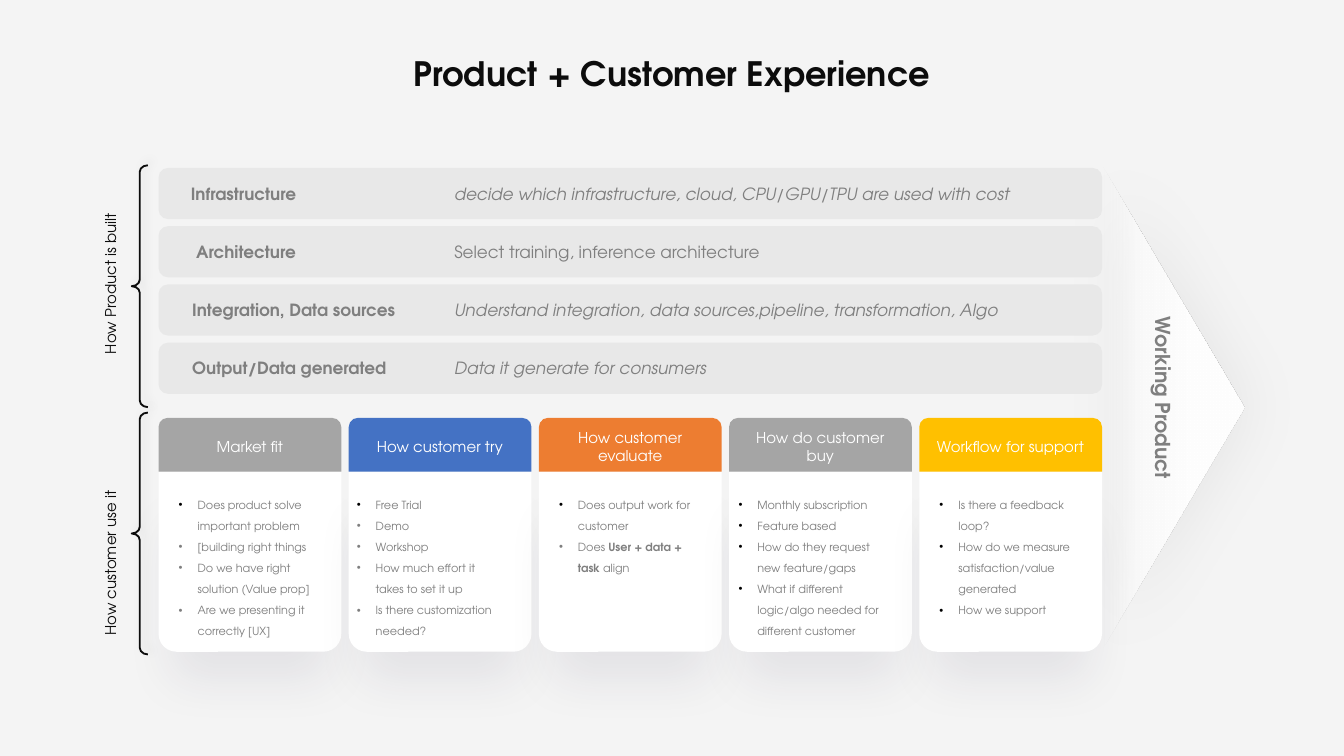
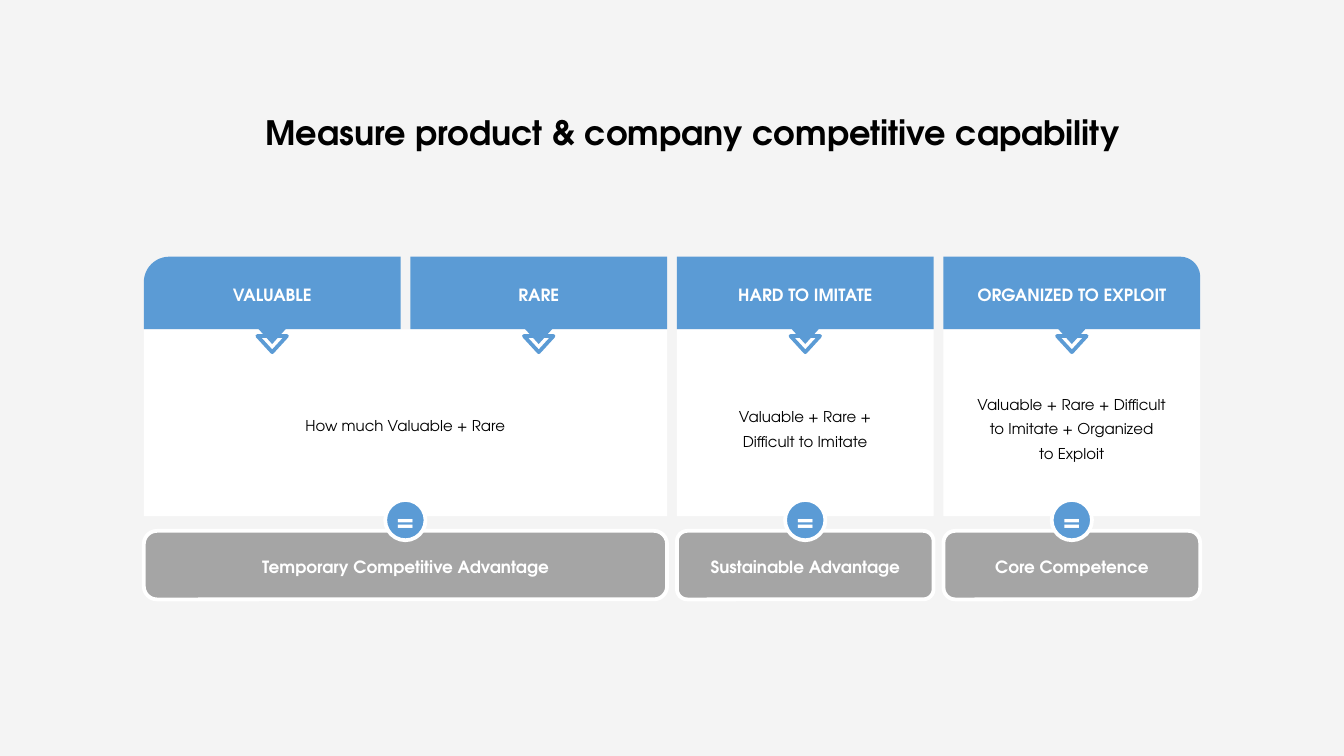
from collections import namedtuple
from copy import deepcopy
from dataclasses import dataclass
from math import cos, pi, sin

from lxml.etree import SubElement
from pptx import Presentation
from pptx.dml.color import RGBColor
from pptx.enum.shapes import MSO_SHAPE
from pptx.enum.text import MSO_ANCHOR, MSO_AUTO_SIZE, PP_ALIGN
from pptx.oxml.ns import qn
from pptx.util import Inches, Pt

LEFT, CENTER = PP_ALIGN.LEFT, PP_ALIGN.CENTER
TOP, MIDDLE = MSO_ANCHOR.TOP, MSO_ANCHOR.MIDDLE
RECT, ROUNDED = MSO_SHAPE.RECTANGLE, MSO_SHAPE.ROUNDED_RECTANGLE
ROUND_PAIR = MSO_SHAPE.ROUND_2_SAME_RECTANGLE
BRACE, OVAL = MSO_SHAPE.LEFT_BRACE, MSO_SHAPE.OVAL
TRIANGLE, EXTRACT = MSO_SHAPE.ISOSCELES_TRIANGLE, MSO_SHAPE.FLOWCHART_EXTRACT

Box = namedtuple("Box", "x y w h")
Shadow = namedtuple("Shadow", "color alpha blur dist angle scale")
PADDED, TIGHT = (0.07, 0.04), (0, 0)


@dataclass(frozen=True)
class Theme:
    font: str = "TeX Gyre Adventor"
    bg: str = "F4F4F4"
    ink: str = "0C0C0C"
    black: str = "000000"
    white: str = "FFFFFF"
    muted: str = "7F7F7F"
    row: str = "E8E8E8"
    gray: str = "A5A5A5"
    blue: str = "4472C4"
    orange: str = "ED7D31"
    gold: str = "FFC000"
    sky: str = "5B9BD5"
    title: int = 18
    sign: int = 14
    arrow: int = 11
    label: int = 9
    body: int = 8
    small: int = 6
    card_shadow: Shadow = Shadow("221B43", 7, 26, 22, 90, 86)
    arrow_shadow: Shadow = Shadow("000000", 5, 35, 3, 0, 100)
    brace_shadow: Shadow = Shadow("000000", 9, 5, 3, 315, 100)


T = Theme()

ROWS = [
    ("Infrastructure", 0.24, "decide which infrastructure, cloud, CPU/GPU/TPU are used with cost", True),
    ("Architecture", 0.28, "Select training, inference architecture", False),
    ("Integration, Data sources", 0.25,
     "Understand integration, data sources,pipeline, transformation, Algo", True),
    ("Output/Data generated", 0.25, "Data it generate for consumers", True),
]

CARDS = [
    ("Market fit", T.gray, 0.15, T.muted,
     ["Does product solve important problem", "[building right things",
      "Do we have right solution (Value prop]", "Are we presenting it correctly [UX]"]),
    ("How customer try", T.blue, 0.06, T.muted,
     ["Free Trial", "Demo", "Workshop", "How much effort it takes to set it up",
      "Is there customization needed?"]),
    ("How customer evaluate", T.orange, 0.15, T.muted,
     ["Does output work for customer",
      [("Does ", False), ("User + data + task ", True), ("align", False)]]),
    ("How do customer buy", T.gray, 0.07, T.black,
     ["Monthly subscription", "Feature based", "How do they request new feature/gaps",
      "What if different logic/algo needed for different customer"]),
    ("Workflow for support", T.gold, 0.15, T.black,
     ["Is there a feedback loop?", "How do we measure satisfaction/value generated",
      "How we support"]),
]

CRITERIA = ["VALUABLE", "RARE", "HARD TO IMITATE", "ORGANIZED TO EXPLOIT"]

OUTCOMES = [
    (0, 2, 2.23, ["How much Valuable + Rare"], None, "Temporary Competitive Advantage", 0.19),
    (2, 1, 1.36, ["Valuable + Rare + Difficult to Imitate"], 1.38, "Sustainable Advantage", 0.15),
    (3, 1, 1.73, ["Valuable + Rare + Difficult", "to Imitate + Organized", "to Exploit"], 1.38,
     "Core Competence", 0.17),
]


def rgb(color):
    return RGBColor.from_string(color)


def emu(box):
    return [Inches(v) for v in box]


def place(sp, box):
    sp.left, sp.top, sp.width, sp.height = emu(box)


def bullet(p, color):
    pPr = p._p.get_or_add_pPr()
    pPr.set("marL", str(Inches(0.14)))
    pPr.set("indent", str(-Inches(0.14)))
    clr = SubElement(pPr, qn("a:buClr"))
    SubElement(clr, qn("a:srgbClr"), val=color)
    SubElement(pPr, qn("a:buChar"), char="•")


def write(sp, paragraphs, size=T.label, color=T.muted, bold=False, italic=False, align=LEFT,
          anchor=MIDDLE, inset=TIGHT, spacing=None, bullets=None):
    tf = sp.text_frame
    tf.word_wrap = True
    tf.auto_size = MSO_AUTO_SIZE.NONE
    tf.vertical_anchor = anchor
    tf.margin_left = tf.margin_right = Inches(inset[0])
    tf.margin_top = tf.margin_bottom = Inches(inset[1])
    if isinstance(paragraphs, str):
        paragraphs = [paragraphs]
    for i, runs in enumerate(paragraphs):
        p = tf.add_paragraph() if i else tf.paragraphs[0]
        if bullets:
            bullet(p, bullets[min(i, 1)])
        p.alignment = align
        p.space_before = Pt(0)
        if spacing:
            p.line_spacing = spacing
        for content, strong in [(runs, bold)] if isinstance(runs, str) else runs:
            r = p.add_run()
            r.text = content
            f = r.font
            f.name, f.size, f.bold, f.italic = T.font, Pt(size), strong, italic
            f.color.rgb = rgb(color)


def text(s, box, paragraphs, rotation=0, **fmt):
    sp = s.shapes.add_textbox(*emu(box))
    sp.rotation = rotation
    write(sp, paragraphs, **fmt)


def paint(sp, fill=None, line=None, width=2, shadow=None):
    sp.shadow.inherit = False
    if fill:
        sp.fill.solid()
        sp.fill.fore_color.rgb = rgb(fill)
    else:
        sp.fill.background()
    if line:
        sp.line.color.rgb = rgb(line)
        sp.line.width = Pt(width)
    else:
        sp.line.fill.background()
    if shadow:
        effects = sp._element.spPr.find(qn("a:effectLst"))
        scale = str(shadow.scale * 1000)
        outer = SubElement(effects, qn("a:outerShdw"), blurRad=str(Pt(shadow.blur)),
                           dist=str(Pt(shadow.dist)), dir=str(shadow.angle * 60000),
                           sx=scale, sy=scale, algn="ctr", rotWithShape="0")
        clr = SubElement(outer, qn("a:srgbClr"), val=shadow.color)
        SubElement(clr, qn("a:alpha"), val=str(shadow.alpha * 1000))


def shape(s, kind, box, adj=(), rotation=0, **look):
    sp = s.shapes.add_shape(kind, *emu(box))
    for i, value in enumerate(adj):
        sp.adjustments[i] = value
    sp.rotation = rotation
    paint(sp, **look)
    return sp


def title(s, box, content, color, **fmt):
    sp = s.shapes.title
    place(sp, box)
    write(sp, content, size=T.title, color=color, bold=True, align=CENTER, **fmt)


def fade(sp, stops):
    sp.fill.gradient()
    sp.fill.gradient_angle = 270
    gs_list = next(sp._element.spPr.iter(qn("a:gsLst")))
    for gs in list(gs_list):
        gs_list.remove(gs)
    for pos, color, alpha in stops:
        gs = SubElement(gs_list, qn("a:gs"), pos=str(pos * 1000))
        clr = SubElement(gs, qn("a:srgbClr"), val=color)
        SubElement(clr, qn("a:alpha"), val=str(alpha * 1000))


def working_arrow(s, box):
    sp = shape(s, EXTRACT, box, rotation=90, shadow=T.arrow_shadow)
    fade(sp, [(0, T.white, 100), (37, T.white, 100), (75, "FAFAFA", 100), (100, T.bg, 0)])
    text(s, Box(box.x + 0.8, box.y + 0.64, 1.85, 0.28), "Working Product", rotation=90,
         size=T.arrow, bold=True)


def build_rows(s, box):
    h = 0.38
    pitch = (box.h - h) / (len(ROWS) - 1)
    for i, (label, indent, detail, italic) in enumerate(ROWS):
        y = box.y + i * pitch
        shape(s, ROUNDED, Box(box.x, y, box.w, h), [0.18], fill=T.row)
        text(s, Box(box.x + indent, y + 0.12, 1.8, 0.14), label, bold=True)
        text(s, Box(box.x + 2.2, y + 0.13, 4.75, 0.12), detail, italic=italic)


def use_cards(s, box, bodies):
    w, head = 1.36, 0.4
    pitch = (box.w - w) / (len(CARDS) - 1)
    for i, (name, color, indent, mark, items) in enumerate(CARDS):
        x = box.x + i * pitch
        shape(s, ROUND_PAIR, Box(x, box.y + head, w, box.h - head), [0, 0.1],
              fill=T.white, shadow=T.card_shadow)
        sp = shape(s, ROUND_PAIR, Box(x, box.y, w, head), [0.17, 0], fill=color)
        write(sp, name, size=T.body, color=T.white, align=CENTER, inset=PADDED)
        body = bodies[i]
        s.shapes._spTree.append(body._element)
        place(body, Box(x + indent, box.y + 0.54, 1.07, 1.05))
        write(body, items, size=T.small, anchor=TOP, spacing=1.57, bullets=(T.black, mark))


def side_brace(s, box, label, label_y, length, align):
    shape(s, BRACE, box, [0.41, 0.5], line=T.ink, width=1, shadow=T.brace_shadow)
    sp = shape(s, RECT, Box(box.x - 0.16 - length / 2, label_y, length, 0.2),
               rotation=270, fill=T.bg)
    write(sp, label, size=T.body, color=T.ink, align=align, inset=PADDED)


def add_list_placeholders(layout, count):
    first = layout.placeholders[1]._element
    for i in range(1, count):
        extra = deepcopy(first)
        extra.nvSpPr.cNvPr.set("id", str(100 + i))
        next(extra.iter(qn("p:ph"))).set("idx", str(20 + i))
        layout.shapes._spTree.append(extra)


def experience_slide(prs):
    layout = prs.slide_layouts[1]
    add_list_placeholders(layout, len(CARDS))
    s = prs.slides.add_slide(layout)
    bodies = [ph for ph in s.placeholders if ph.placeholder_format.idx]
    title(s, Box(2.26, 0.33, 5.48, 0.43), "Product + Customer Experience", T.ink, inset=PADDED)
    working_arrow(s, Box(6.93, 2.5, 3.6, 1.06))
    build_rows(s, Box(1.18, 1.25, 7.02, 1.68))
    use_cards(s, Box(1.18, 3.11, 7.02, 1.74), bodies)
    side_brace(s, Box(0.98, 1.23, 0.12, 1.8), "How Product is built", 2.01, 1.58, CENTER)
    side_brace(s, Box(0.98, 3.07, 0.12, 1.8), "How customer use it", 3.88, 1.64, LEFT)


def corner(cx, cy, radius, start, steps=12):
    angles = [start + pi / 2 * k / steps for k in range(steps + 1)]
    return [(cx + radius * cos(a), cy + radius * sin(a)) for a in angles]


def criterion_tab(s, box, name, left_round=0, right_round=0):
    x, y, w, h = box
    mid, right, base = x + w / 2, x + w, y + h
    top_left = corner(x + left_round, y + left_round, left_round, pi) if left_round else [(x, y)]
    top_right = (corner(right - right_round, y + right_round, right_round, -pi / 2)
                 if right_round else [(right, y)])
    points = top_left + top_right + [(right, base), (mid + 0.1, base), (mid, base + 0.11),
                                     (mid - 0.1, base), (x, base)]
    points = [(Inches(px), Inches(py)) for px, py in points]
    fb = s.shapes.build_freeform(*points[0])
    fb.add_line_segments(points[1:], close=True)
    paint(fb.convert_to_shape(), fill=T.sky)
    text(s, Box(x + 0.17, y + 0.21, w - 0.34, 0.15), name, color=T.white, bold=True, align=CENTER)


def outcome(s, box, copy_width, lines, spacing, result, rounding):
    mid = box.x + box.w / 2
    shape(s, RECT, Box(box.x, box.y, box.w, 1.39), fill=T.white)
    text(s, Box(mid - copy_width / 2, box.y + 0.46, copy_width, 0.51), lines, size=T.body,
         color=T.black, align=CENTER, spacing=spacing)
    sp = shape(s, ROUNDED, Box(box.x, box.y + 1.5, box.w, 0.51), [rounding],
               fill=T.gray, line=T.white)
    write(sp, result, color=T.white, bold=True, align=CENTER, spacing=1.17)
    sp = shape(s, OVAL, Box(mid - 0.15, box.y + 1.27, 0.3, 0.3), fill=T.sky, line=T.white)
    write(sp, "=", size=T.sign, color=T.white, bold=True, align=CENTER)


def capability_grid(s, box):
    w, head = 1.91, 0.54
    pitch = (box.w - w) / (len(CRITERIA) - 1)
    for col, span, *details in OUTCOMES:
        area = Box(box.x + col * pitch, box.y + head, w + (span - 1) * pitch, box.h - head)
        outcome(s, area, *details)
    rounds = {0: {"left_round": 0.19}, len(CRITERIA) - 1: {"right_round": 0.15}}
    for i, name in enumerate(CRITERIA):
        x = box.x + i * pitch
        shape(s, TRIANGLE, Box(x + w / 2 - 0.11, box.y + 0.59, 0.22, 0.12), rotation=180, line=T.sky)
        criterion_tab(s, Box(x, box.y, w, head), name, **rounds.get(i, {}))


def capability_slide(prs):
    s = prs.slides.add_slide(prs.slide_layouts[5])
    title(s, Box(1.92, 0.83, 6.47, 0.49), "Measure product & company competitive capability",
          T.black, anchor=TOP)
    capability_grid(s, Box(1.07, 1.91, 7.86, 2.56))


def main():
    prs = Presentation()
    prs.slide_width = Inches(10)
    prs.slide_height = prs.slide_width * 9 // 16
    bg = prs.slide_master.background.fill
    bg.solid()
    bg.fore_color.rgb = rgb(T.bg)
    experience_slide(prs)
    capability_slide(prs)
    prs.save("out.pptx")


if __name__ == "__main__":
    main()
